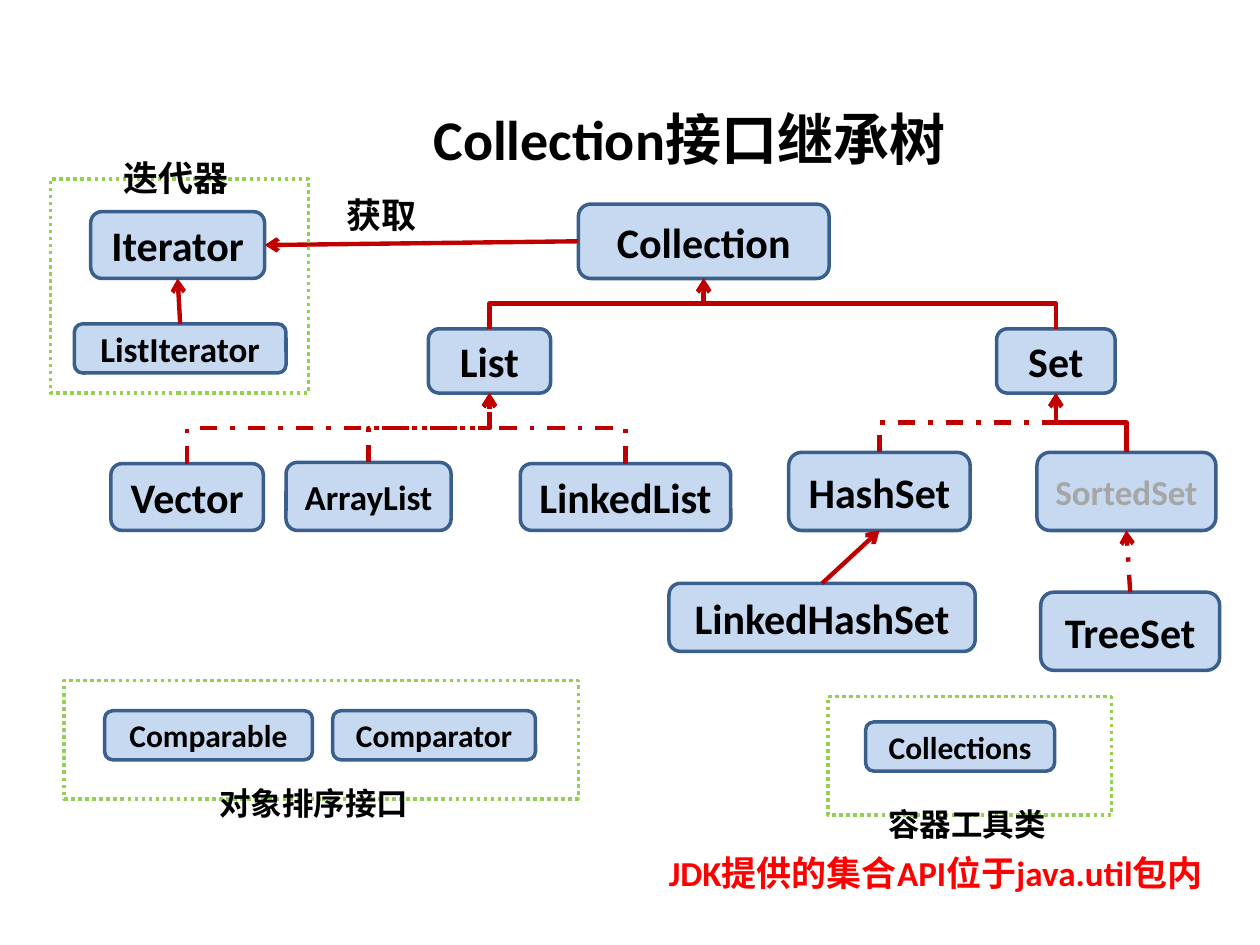
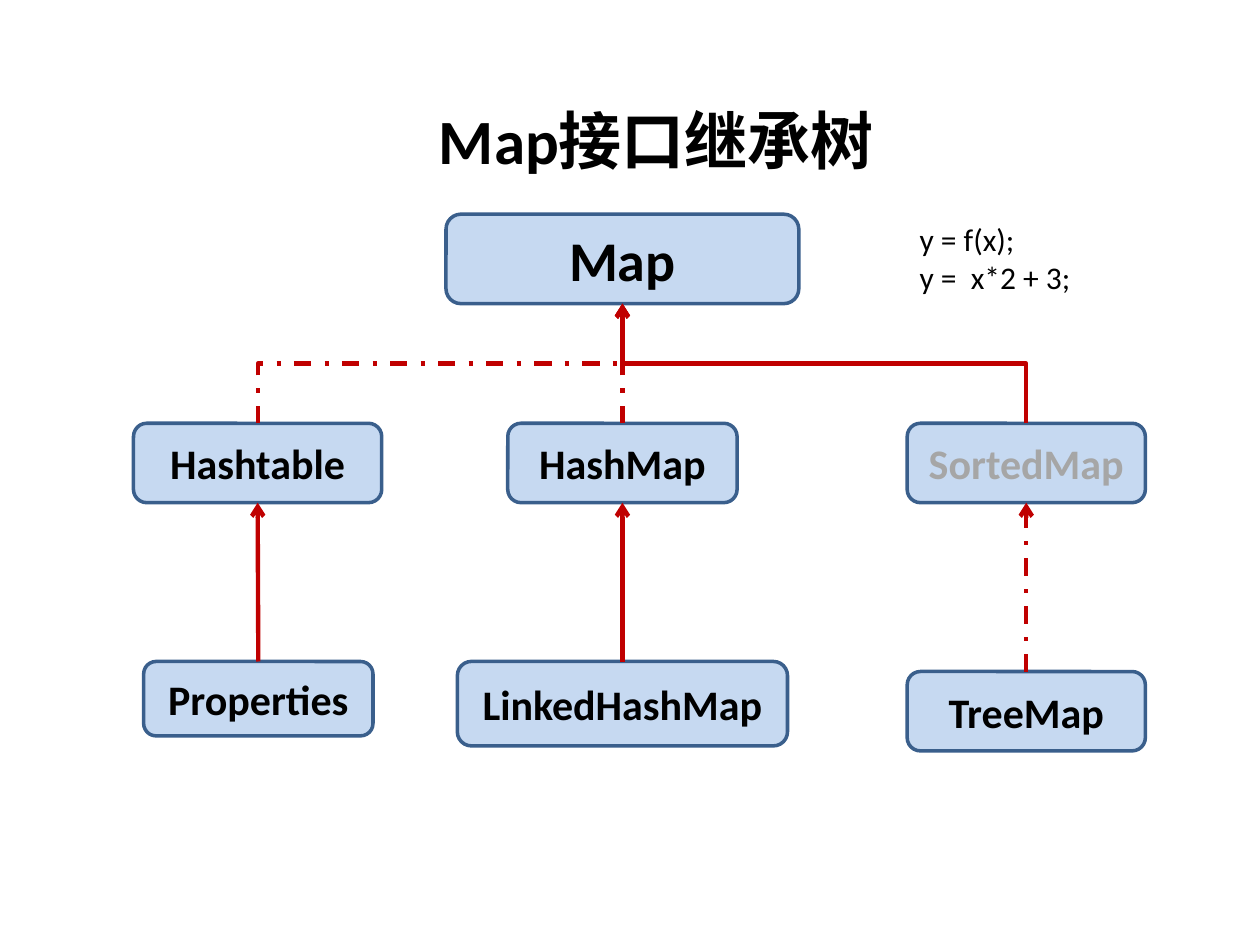
from dataclasses import dataclass

from lxml import etree
from pptx import Presentation
from pptx.dml.color import RGBColor
from pptx.enum.dml import MSO_LINE
from pptx.enum.shapes import MSO_CONNECTOR, MSO_SHAPE
from pptx.enum.text import MSO_ANCHOR, MSO_AUTO_SIZE, PP_ALIGN
from pptx.oxml.ns import qn
from pptx.util import Emu, Pt

ROUNDED, RECTANGLE = MSO_SHAPE.ROUNDED_RECTANGLE, MSO_SHAPE.RECTANGLE
STRAIGHT, ELBOW = MSO_CONNECTOR.STRAIGHT, MSO_CONNECTOR.ELBOW
DASH_DOT, DOTTED = MSO_LINE.DASH_DOT, MSO_LINE.ROUND_DOT
TOP, MIDDLE = MSO_ANCHOR.TOP, MSO_ANCHOR.MIDDLE
LEFT, CENTER = PP_ALIGN.LEFT, PP_ALIGN.CENTER
NO_FIT, GROW = MSO_AUTO_SIZE.NONE, MSO_AUTO_SIZE.SHAPE_TO_FIT_TEXT

PX = 9144  # EMU per px: 100 px to the inch
TITLE_ONLY = 5
TOP_SITE, LEFT_SITE, BOTTOM_SITE, RIGHT_SITE = range(4)


@dataclass(frozen=True)
class Theme:
    font: str = "Calibri"
    ink: str = "000000"
    muted: str = "A6A6A6"
    alert: str = "FF0000"
    node_fill: str = "C6D9F1"
    node_line: str = "3A5F8C"
    link: str = "C00000"
    frame: str = "92D050"
    small: int = 18
    medium: int = 20
    large: int = 24
    heading: int = 32
    title: int = 36
    outline: float = 2
    link_width: float = 2.5


THEME = Theme()


@dataclass(frozen=True)
class Box:
    left: int
    top: int
    width: int
    height: int

    def emu(self) -> tuple:
        return tuple(Emu(v * PX) for v in
                     (self.left, self.top, self.width, self.height))


@dataclass(frozen=True)
class Node:
    label: str
    box: Box
    size: int = THEME.large
    color: str = THEME.ink


@dataclass(frozen=True)
class Link:
    child: str
    parent: str
    elbow: bool = False
    dashed: bool = False
    sites: tuple = (TOP_SITE, BOTTOM_SITE)


@dataclass(frozen=True)
class Caption:
    lines: tuple
    box: Box
    size: int = THEME.small
    color: str = THEME.ink
    bold: bool = True


@dataclass(frozen=True)
class Title:
    text: str
    box: Box
    size: int
    align: PP_ALIGN
    anchor: MSO_ANCHOR


@dataclass(frozen=True)
class Diagram:
    title: Title
    nodes: tuple
    links: tuple
    frames: tuple
    captions: tuple


def write(frame, lines: tuple, size: int, color: str = THEME.ink,
          bold: bool = True, align: PP_ALIGN = LEFT) -> None:
    for index, line in enumerate(lines):
        paragraph = frame.add_paragraph() if index else frame.paragraphs[0]
        paragraph.alignment = align
        run = paragraph.add_run()
        run.text = line
        run.font.name = THEME.font
        run.font.size = Pt(size)
        run.font.bold = bold
        run.font.color.rgb = RGBColor.from_string(color)


def stroke(line, color: str, width: float, dash=None) -> None:
    line.color.rgb = RGBColor.from_string(color)
    line.width = Pt(width)
    if dash is not None:
        line.dash_style = dash


def draw_title(slide, title: Title) -> None:
    holder = slide.shapes.title
    holder.left, holder.top, holder.width, holder.height = title.box.emu()
    frame = holder.text_frame
    frame.auto_size = NO_FIT
    frame.vertical_anchor = title.anchor
    write(frame, (title.text,), title.size, align=title.align)


def draw_node(slide, node: Node):
    shape = slide.shapes.add_shape(ROUNDED, *node.box.emu())
    shape.shadow.inherit = False
    shape.fill.solid()
    shape.fill.fore_color.rgb = RGBColor.from_string(THEME.node_fill)
    stroke(shape.line, THEME.node_line, THEME.outline)
    shape.text_frame.word_wrap = False
    shape.text_frame.vertical_anchor = MIDDLE
    write(shape.text_frame, (node.label,), node.size, node.color, align=CENTER)
    return shape


def turn_upright(connector) -> None:
    """Make an elbow leave the child and enter the parent vertically."""
    x1, y1 = connector.begin_x, connector.begin_y
    x2, y2 = connector.end_x, connector.end_y
    rise, run = abs(y1 - y2), abs(x1 - x2)
    connector.left = Emu((x1 + x2 - rise) // 2)
    connector.top = Emu((y1 + y2 - run) // 2)
    connector.width, connector.height = Emu(rise), Emu(run)
    child_on_left = x1 < x2
    xfrm = connector.element.spPr.get_or_add_xfrm()
    xfrm.set("rot", str((90 if child_on_left else 270) * 60000))
    xfrm.set("flipH", str(int(child_on_left)))
    xfrm.set("flipV", "1")


def draw_link(slide, link: Link, shapes: dict) -> None:
    connector = slide.shapes.add_connector(ELBOW if link.elbow else STRAIGHT, 0, 0, 0, 0)
    connector.begin_connect(shapes[link.child], link.sites[0])
    connector.end_connect(shapes[link.parent], link.sites[1])
    if link.elbow:
        turn_upright(connector)
    stroke(connector.line, THEME.link, THEME.link_width,
           DASH_DOT if link.dashed else None)
    properties = connector.element.spPr
    etree.SubElement(properties.find(qn("a:ln")), qn("a:tailEnd"), type="arrow")
    etree.SubElement(properties, qn("a:effectLst"))


def draw_frame(slide, box: Box) -> None:
    shape = slide.shapes.add_shape(RECTANGLE, *box.emu())
    shape.shadow.inherit = False
    shape.fill.background()
    stroke(shape.line, THEME.frame, THEME.outline, DOTTED)


def draw_caption(slide, caption: Caption) -> None:
    frame = slide.shapes.add_textbox(*caption.box.emu()).text_frame
    frame.word_wrap = True
    frame.auto_size = GROW
    frame.margin_right = 0
    write(frame, caption.lines, caption.size, caption.color, caption.bold)


def draw_diagram(deck, diagram: Diagram) -> None:
    slide = deck.slides.add_slide(deck.slide_layouts[TITLE_ONLY])
    draw_title(slide, diagram.title)
    shapes = {node.label: draw_node(slide, node) for node in diagram.nodes}
    for link in diagram.links:
        draw_link(slide, link, shapes)
    for box in diagram.frames:
        draw_frame(slide, box)
    for caption in diagram.captions:
        draw_caption(slide, caption)


COLLECTION_TREE = Diagram(
    title=Title("Collection接口继承树", Box(334, 78, 532, 64), THEME.heading, LEFT, TOP),
    nodes=(
        Node("Collection", Box(459, 162, 199, 59)),
        Node("List", Box(340, 261, 97, 51)),
        Node("Set", Box(791, 261, 94, 51)),
        Node("Vector", Box(88, 368, 121, 53)),
        Node("ArrayList", Box(227, 367, 131, 54), THEME.medium),
        Node("LinkedList", Box(413, 368, 167, 53)),
        Node("HashSet", Box(626, 359, 144, 62)),
        Node("SortedSet", Box(823, 359, 142, 62), THEME.medium, THEME.muted),
        Node("LinkedHashSet", Box(531, 463, 243, 54)),
        Node("TreeSet", Box(826, 470, 142, 62)),
        Node("Comparable", Box(83, 564, 165, 39), THEME.small),
        Node("Comparator", Box(264, 564, 161, 39), THEME.small),
        Node("Collections", Box(687, 573, 150, 39), THEME.small),
        Node("Iterator", Box(72, 168, 138, 53)),
        Node("ListIterator", Box(59, 257, 168, 39), THEME.medium),
    ),
    links=(
        Link("List", "Collection", elbow=True),
        Link("Set", "Collection", elbow=True),
        Link("Vector", "List", elbow=True, dashed=True),
        Link("ArrayList", "List", elbow=True, dashed=True),
        Link("LinkedList", "List", elbow=True, dashed=True),
        Link("HashSet", "Set", elbow=True, dashed=True),
        Link("SortedSet", "Set", elbow=True),
        Link("LinkedHashSet", "HashSet"),
        Link("TreeSet", "SortedSet", dashed=True),
        Link("Collection", "Iterator", sites=(LEFT_SITE, RIGHT_SITE)),
        Link("ListIterator", "Iterator"),
    ),
    frames=(
        Box(40, 142, 205, 170),
        Box(51, 540, 408, 94),
        Box(657, 553, 225, 94),
    ),
    captions=(
        Caption(("迭代器",), Box(88, 119, 122, 44), THEME.medium),
        Caption(("对象排序接口",), Box(164, 617, 176, 40)),
        Caption(("容器工具类",), Box(695, 634, 150, 40)),
        Caption(("获取",), Box(265, 149, 82, 44), THEME.medium),
        Caption(("JDK提供的集合API位于java.util包内",), Box(521, 671, 479, 44),
                THEME.medium, THEME.alert),
    ),
)

MAP_TREE = Diagram(
    title=Title("Map接口继承树", Box(287, 60, 468, 101), THEME.title, CENTER, MIDDLE),
    nodes=(
        Node("Map", Box(354, 170, 280, 71), THEME.heading),
        Node("Hashtable", Box(106, 336, 197, 63)),
        Node("HashMap", Box(403, 336, 182, 63)),
        Node("SortedMap", Box(720, 336, 189, 63), color=THEME.muted),
        Node("Properties", Box(114, 525, 182, 59)),
        Node("LinkedHashMap", Box(363, 525, 262, 67)),
        Node("TreeMap", Box(720, 533, 189, 63)),
    ),
    links=(
        Link("Hashtable", "Map", elbow=True, dashed=True),
        Link("SortedMap", "Map", elbow=True),
        Link("TreeMap", "SortedMap", dashed=True),
        Link("Properties", "Hashtable"),
        Link("LinkedHashMap", "HashMap"),
        Link("HashMap", "Map", dashed=True),
    ),
    frames=(),
    captions=(
        Caption(("y = f(x);", "y =  x*2 + 3;"), Box(720, 170, 260, 71), bold=False),
    ),
)


def main() -> None:
    deck = Presentation()
    deck.slide_width, deck.slide_height = Emu(1000 * PX), Emu(750 * PX)
    for diagram in (COLLECTION_TREE, MAP_TREE):
        draw_diagram(deck, diagram)
    deck.save("out.pptx")


if __name__ == "__main__":
    main()
